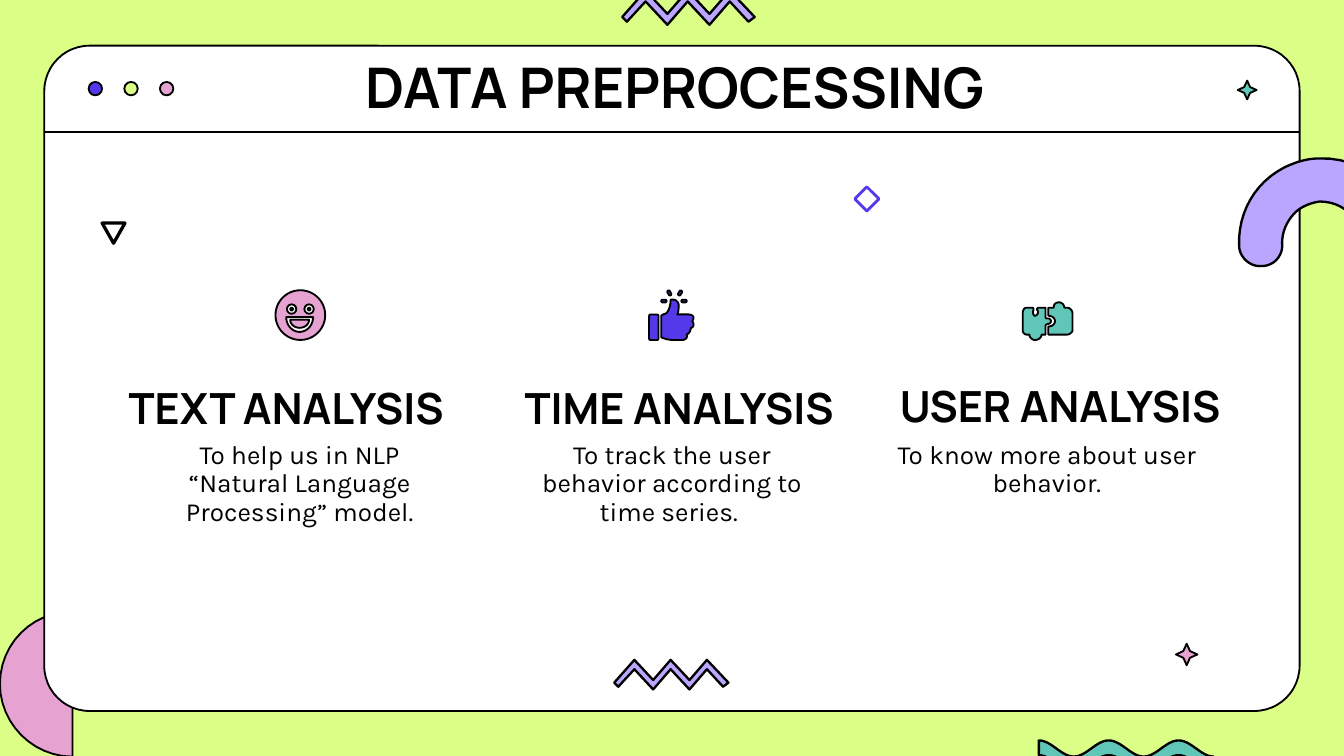
import math
from dataclasses import dataclass

from pptx import Presentation
from pptx.dml.color import RGBColor
from pptx.enum import shapes, text
from pptx.oxml.ns import qn
from pptx.util import Inches, Pt


@dataclass(frozen=True)
class Theme:
    lime: str = "DBFE87"
    white: str = "FFFFFF"
    black: str = "000000"
    pink: str = "E6A2D0"
    blue: str = "5339EA"
    teal: str = "60C7B8"
    lilac: str = "BAA5FF"
    title_size: float = 30
    heading_size: float = 23
    body_size: float = 14
    heading_font: str = "Manrope"
    body_font: str = "Karla"


theme = Theme()
deck = Presentation()
deck.slide_width = Inches(10)
deck.slide_height = deck.slide_width * 9 // 16
slide = deck.slides.add_slide(deck.slide_layouts[6])
slide.background.fill.solid()
slide.background.fill.fore_color.rgb = RGBColor.from_string(theme.lime)
Kind = shapes.MSO_SHAPE


def draw(form, fill, weight=1, line=theme.black):
    """form is (preset, left, top, width, height) or a list of points and Bezier curves."""
    if isinstance(form, tuple):
        shape = slide.shapes.add_shape(form[0], *(Inches(v) for v in form[1:]))
    else:
        points = [form[0]]
        for step in form[1:]:
            if len(step) == 2:
                points.append(step)
                continue
            x0, y0 = points[-1]
            x1, y1, x2, y2, x3, y3 = step
            for i in range(1, 13):
                t = i / 12
                a, b, c, d = (1 - t) ** 3, 3 * t * (1 - t) ** 2, 3 * t * t * (1 - t), t ** 3
                points.append((a * x0 + b * x1 + c * x2 + d * x3,
                               a * y0 + b * y1 + c * y2 + d * y3))
        points = [(Inches(x), Inches(y)) for x, y in points]
        outline = slide.shapes.build_freeform(*points[0])
        outline.add_line_segments(points[1:], close=True)
        shape = outline.convert_to_shape()
    shape.shadow.inherit = False
    shape.fill.solid()
    shape.fill.fore_color.rgb = RGBColor.from_string(fill)
    shape.line.color.rgb = RGBColor.from_string(line)
    shape.line.width = Pt(weight)
    return shape


def write(words, left, top, width, height, size, font, bold=False,
          anchor=text.MSO_ANCHOR.TOP, side=0.1):
    frame = slide.shapes.add_textbox(*(Inches(v) for v in (left, top, width, height))).text_frame
    frame.word_wrap = True
    frame.vertical_anchor = anchor
    frame.margin_top = frame.margin_bottom = Inches(0.05)
    frame.margin_left = frame.margin_right = Inches(side)
    frame.text = words
    paragraph = frame.paragraphs[0]
    paragraph.alignment = text.PP_ALIGN.CENTER
    paragraph.line_spacing = 0.9
    style = paragraph.runs[0].font
    style.size, style.name, style.bold = Pt(size), font, bold
    style.color.rgb = RGBColor.from_string(theme.black)


draw([(0, 5.09), (0, 5.38, 0.24, 5.63, 0.54, 5.63), (0.54, 4.55),
      (0.24, 4.55, 0, 4.79, 0, 5.09)], theme.pink)
window = draw((Kind.ROUNDED_RECTANGLE, 0.33, 0.34, 9.34, 4.95), theme.white)
window.adjustments[0] = 0.068
divider = slide.shapes.add_connector(shapes.MSO_CONNECTOR.STRAIGHT, Inches(0.33), Inches(0.98),
                                     Inches(9.67), Inches(0.98))
divider.line.color.rgb = RGBColor.from_string(theme.black)
divider.line.width = Pt(1)
effects = divider._element.spPr.makeelement(qn("a:effectLst"), {})
divider._element.spPr.append(effects)
for i, colour in enumerate((theme.blue, theme.lime, theme.pink)):
    draw((Kind.OVAL, 0.66 + 0.265 * i, 0.61, 0.1, 0.1), colour)

write("DATA PREPROCESSING", 0.81, 0.47, 8.42, 0.4, theme.title_size, theme.heading_font,
      True, text.MSO_ANCHOR.MIDDLE)
columns = (
    ("TEXT ANALYSIS", 0.79, 2.83, 2.68, 0.99,
     "To help us in NLP “Natural Language Processing” model."),
    ("TIME ANALYSIS", 3.76, 2.83, 2.59, 3.76,
     "To track the user behavior according to time series. "),
    ("USER ANALYSIS", 6.55, 2.82, 2.68, 6.55, "To know more about user behavior."),
)
for heading, left, top, width, body_left, body in columns:
    write(heading, left, top, width, 0.41, theme.heading_size, theme.heading_font, True)
    write(body, body_left, 3.24, 2.48, 0.68, theme.body_size, theme.body_font, side=0.12)

draw((Kind.OVAL, 2.05, 2.16, 0.37, 0.37), theme.pink)
for eye in (2.17, 2.3):
    for radius, colour in ((0.035, theme.white), (0.01, theme.pink)):
        draw((Kind.OVAL, eye - radius, 2.3 - radius, 2 * radius, 2 * radius), colour)
for half, top, depth, colour in ((0.1, 2.36, 0.11, theme.white), (0.07, 2.38, 0.06, theme.pink)):
    k = 0.55
    draw([(2.23 - half, top),
          (2.23 - half, top + k * depth, 2.23 - k * half, top + depth, 2.23, top + depth),
          (2.23 + k * half, top + depth, 2.23 + half, top + k * depth, 2.23 + half, top)], colour)

for x, y, angle in ((4.94, 2.24, 0), (4.98, 2.18, 60), (5.06, 2.18, -60), (5.09, 2.24, 0)):
    spark = draw((Kind.ROUNDED_RECTANGLE, x - 0.02, y - 0.01, 0.04, 0.02), theme.blue)
    spark.adjustments[0] = 0.5
    spark.rotation = angle
draw((Kind.ROUNDED_RECTANGLE, 4.83, 2.34, 0.07, 0.19), theme.blue)
draw([(5, 2.23), (4.99, 2.23, 4.99, 2.23, 4.99, 2.24), (4.99, 2.26, 4.98, 2.31, 4.96, 2.33),
      (4.94, 2.34, 4.93, 2.34, 4.92, 2.35), (4.92, 2.51), (4.94, 2.52, 4.97, 2.53, 5.01, 2.53),
      (5.08, 2.53), (5.1, 2.53, 5.12, 2.51, 5.11, 2.49), (5.13, 2.48, 5.14, 2.46, 5.14, 2.44),
      (5.16, 2.44, 5.17, 2.41, 5.15, 2.39), (5.16, 2.38, 5.16, 2.37, 5.16, 2.36),
      (5.16, 2.35, 5.14, 2.34, 5.12, 2.34), (5.04, 2.34), (5.05, 2.32, 5.05, 2.29, 5.05, 2.27),
      (5.05, 2.25, 5.03, 2.23, 5.01, 2.23)], theme.blue)

draw([(7.64, 2.29), (7.62, 2.29, 7.61, 2.31, 7.61, 2.33), (7.61, 2.46),
      (7.61, 2.47, 7.62, 2.49, 7.64, 2.49), (7.66, 2.49), (7.66, 2.51, 7.68, 2.53, 7.7, 2.53),
      (7.73, 2.53, 7.75, 2.51, 7.75, 2.49), (7.78, 2.49), (7.78, 2.42),
      (7.78, 2.42, 7.79, 2.41, 7.8, 2.41), (7.81, 2.41, 7.82, 2.4, 7.82, 2.39),
      (7.82, 2.38, 7.81, 2.37, 7.8, 2.37), (7.79, 2.37, 7.78, 2.37, 7.78, 2.36), (7.78, 2.29),
      (7.73, 2.29), (7.72, 2.29, 7.71, 2.3, 7.72, 2.31), (7.73, 2.32, 7.72, 2.35, 7.7, 2.35),
      (7.69, 2.35, 7.68, 2.32, 7.69, 2.31), (7.69, 2.3, 7.69, 2.29, 7.68, 2.29)], theme.teal)
draw([(7.88, 2.25), (7.85, 2.25, 7.84, 2.27, 7.84, 2.29), (7.8, 2.29), (7.8, 2.35),
      (7.83, 2.35, 7.85, 2.37, 7.85, 2.39), (7.85, 2.41, 7.83, 2.43, 7.8, 2.43), (7.8, 2.49),
      (7.94, 2.49), (7.96, 2.49, 7.98, 2.47, 7.98, 2.46), (7.98, 2.33),
      (7.98, 2.31, 7.96, 2.29, 7.94, 2.29), (7.92, 2.29), (7.92, 2.27, 7.9, 2.25, 7.88, 2.25)],
     theme.teal)

for left, top, size, colour in ((8.75, 4.79, 0.16, theme.pink), (9.21, 0.6, 0.14, theme.teal)):
    sparkle = draw((Kind.STAR_4_POINT, left, top, size, size), colour)
    sparkle.adjustments[0] = 0.22
triangle = draw((Kind.ISOSCELES_TRIANGLE, 0.76, 1.66, 0.17, 0.15), theme.white, 1.75)
triangle.rotation = 180
draw((Kind.DIAMOND, 6.36, 1.39, 0.18, 0.18), theme.white, 1.5, theme.blue)

zigzag = ((0, 0.17), (0.15, 0), (0.29, 0.15), (0.42, 0), (0.56, 0.15), (0.69, 0), (0.85, 0.17),
          (0.81, 0.2), (0.69, 0.07), (0.56, 0.22), (0.42, 0.07), (0.29, 0.22), (0.15, 0.07),
          (0.03, 0.2))
for left, top, scale in ((4.57, 4.91, 1), (4.63, -0.07, 1.16)):
    draw([(left + x * scale, top + y * scale) for x, y in zigzag], theme.lilac, 1.25)

draw([(9.55, 1.25), (9.63, 1.21, 9.72, 1.18, 9.81, 1.18), (10.15, 1.16, 10.44, 1.43, 10.46, 1.77),
      (10.46, 1.86, 10.39, 1.94, 10.3, 1.94), (10.21, 1.95, 10.13, 1.87, 10.13, 1.79),
      (10.12, 1.62, 9.99, 1.5, 9.82, 1.5), (9.75, 1.51, 9.67, 1.54, 9.62, 1.6),
      (9.57, 1.66, 9.54, 1.73, 9.54, 1.81), (9.55, 1.9, 9.48, 1.98, 9.39, 1.98),
      (9.3, 1.99, 9.22, 1.91, 9.22, 1.83), (9.21, 1.58, 9.34, 1.36, 9.55, 1.25)],
     theme.lilac, 1.25)

crest = [(7.73 + 0.02 * i, 5.57 - 0.06 * math.cos(math.tau * i / 26)) for i in range(66)]
draw(crest + [(x, y + 0.11) for x, y in reversed(crest)], theme.teal, 1.25)

deck.save("out.pptx")
